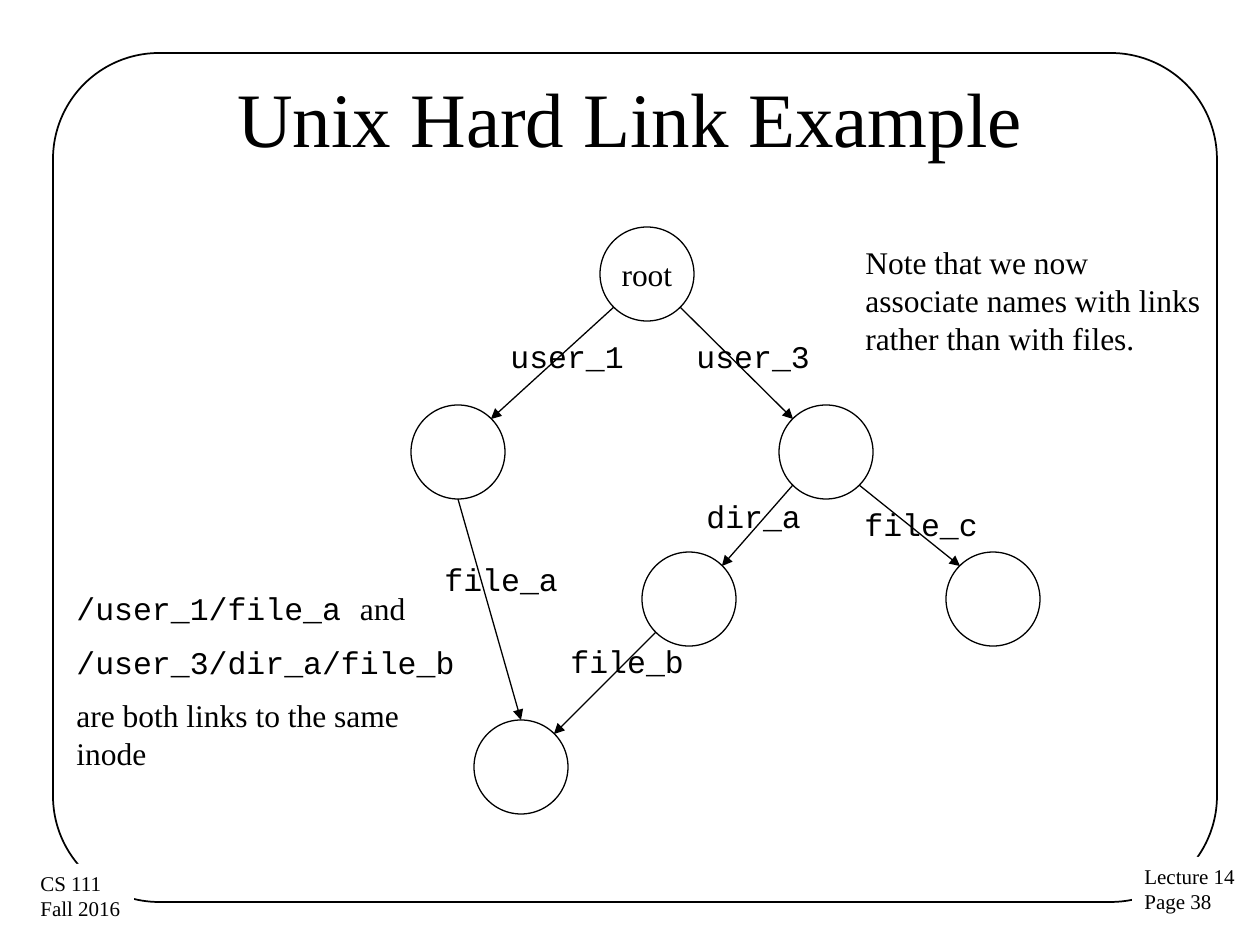
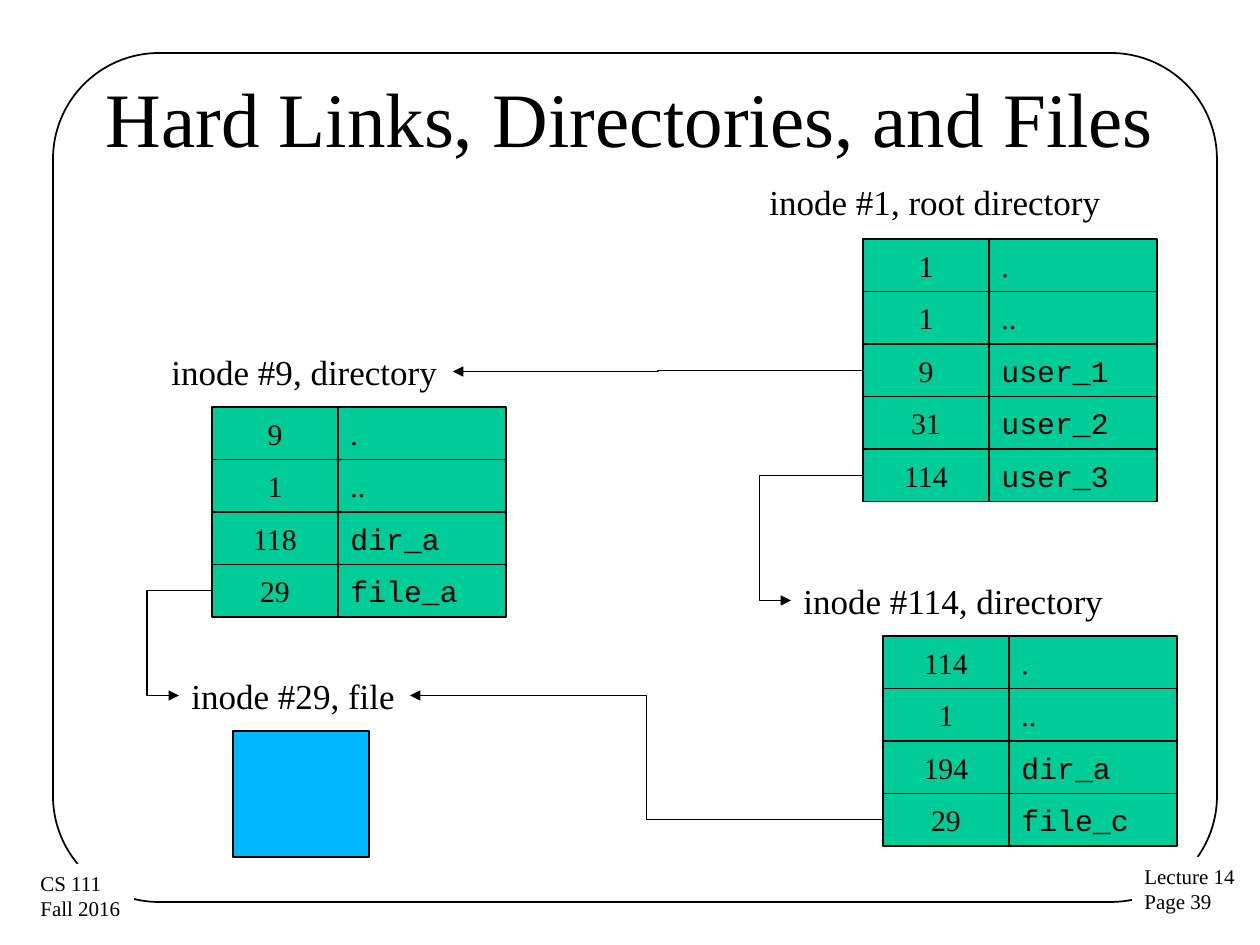
import pptx
import pptx.util
import pptx.dml.color
import pptx.enum.shapes
import pptx.enum.text
import pptx.oxml.ns
import lxml.etree

SERIF, MONO = "Times New Roman", "Courier New"
BLACK, WHITE, GREEN, BLUE = "000000", "FFFFFF", "00CC99", "00B8FF"
SHAPE = pptx.enum.shapes.MSO_SHAPE
LINK = pptx.enum.shapes.MSO_CONNECTOR
ALIGN = pptx.enum.text.PP_ALIGN
MIDDLE = pptx.enum.text.MSO_ANCHOR.MIDDLE
GROW = pptx.enum.text.MSO_AUTO_SIZE.SHAPE_TO_FIT_TEXT
DPI = 126
NODE = 94                       # diameter of a tree node
ROW, COLS = 52.5, (126, 168)    # cell height and the two column widths
# Connection sites: index, then share of the width and of the height
TOP, TOP_L, LOW_L = (0, 0.5, 0), (1, 0.15, 0.15), (3, 0.15, 0.85)
LOW, LOW_R, TOP_R = (4, 0.5, 1), (5, 0.85, 0.85), (7, 0.85, 0.15)
LEFT, RIGHT = (1, 0, 0.5), (3, 1, 0.5)


def px(num):
    """Turn pixels into EMU."""
    return pptx.util.Emu(round(num * 914400 / DPI))


def color(code):
    """Turn a hex string into a colour."""
    return pptx.dml.color.RGBColor.from_string(code)


def apply(item, form):
    """Set every attribute named in a dict of format values."""
    for key, val in form.items():
        setattr(item, key, val)


def add(host, tag, **vals):
    """Append a drawing element with its attributes."""
    node = lxml.etree.SubElement(host, pptx.oxml.ns.qn(tag))
    for key, val in vals.items():
        node.set(key, str(val))
    return node


def write(shape, paras, size, font=SERIF, align=ALIGN.LEFT, gap=0, **frame):
    """Fill a text frame; a paragraph is a string or a list of (text, font)."""
    text = shape.text_frame
    apply(text, frame)
    for num, runs in enumerate(paras):
        para = text.add_paragraph() if num else text.paragraphs[0]
        apply(para, {"alignment": align,
                     "space_before": pptx.util.Pt(gap if num else 0)})
        for words, face in [(runs, font)] if isinstance(runs, str) else runs:
            run = para.add_run()
            run.text = words
            apply(run.font, {"name": face, "size": pptx.util.Pt(size)})
            run.font.color.rgb = color(BLACK)


def draw(slide, kind, box, fill=None, width=0.75):
    """Add a preset shape; a width of 0 means no outline."""
    shape = slide.shapes.add_shape(kind, *map(px, box))
    shape.shadow.inherit = False
    if fill:
        shape.fill.solid()
        shape.fill.fore_color.rgb = color(fill)
    else:
        shape.fill.background()
    if width:
        shape.line.color.rgb = color(BLACK)
        shape.line.width = pptx.util.Pt(width)
    else:
        shape.line.fill.background()
    return shape


def label(slide, box, paras, size=18, wrap=True, **form):
    """Add a text box."""
    shape = slide.shapes.add_textbox(*map(px, box))
    write(shape, paras, size, word_wrap=wrap, auto_size=GROW, **form)
    return shape


def point(shape, site):
    """Find where a connection site lies."""
    return (round(shape.left + site[1] * shape.width),
            round(shape.top + site[2] * shape.height))


def arrow(slide, start, end, kind=LINK.STRAIGHT, bend=None):
    """Join two (shape, site) pairs by a line with an arrowhead."""
    line = slide.shapes.add_connector(kind, *point(*start), *point(*end))
    line.line.color.rgb = color(BLACK)
    line.line.width = pptx.util.Pt(0.75)
    glue = line._element.nvCxnSpPr.cNvCxnSpPr
    for tag, (shape, site) in (("a:stCxn", start), ("a:endCxn", end)):
        add(glue, tag, id=shape.shape_id, idx=site[0])
    qn = pptx.oxml.ns.qn
    prop = line._element.spPr
    add(prop.find(qn("a:ln")), "a:tailEnd", type="triangle")
    add(prop, "a:effectLst")
    if bend:
        geom = prop.find(qn("a:prstGeom"))
        vals = geom.find(qn("a:avLst"))
        if vals is None:
            vals = add(geom, "a:avLst")
        add(vals, "a:gd", name="adj1", fmla=f"val {round(bend * 100000)}")


def page(deck, title, num):
    """Add a slide with its title, frame and footers."""
    slide = deck.slides.add_slide(deck.slide_layouts[5])
    head = slide.shapes.title
    apply(head, dict(zip(("left", "top", "width", "height"),
                         map(px, (63, 38, 1134, 157)))))
    write(head, [title], 44, align=ALIGN.CENTER, vertical_anchor=MIDDLE)
    frame = draw(slide, SHAPE.ROUNDED_RECTANGLE, (53, 53, 1164, 849), width=1)
    frame.adjustments[0] = 0.125
    for box, lines in (((1132, 857, 117, 64), ["Lecture 14", f"Page {num}"]),
                       ((28, 864, 106, 64), ["CS 111", "Fall 2016 "])):
        foot = draw(slide, SHAPE.RECTANGLE, box, WHITE, 0)
        write(foot, lines, 12, word_wrap=False, auto_size=GROW,
              vertical_anchor=pptx.enum.text.MSO_ANCHOR.TOP)
    return slide


def grid(slide, left, top, rows):
    """Draw a directory's entries; return the number cells."""
    cells = []
    for num, (inode, name) in enumerate(rows):
        high = top + num * ROW
        cell = draw(slide, SHAPE.RECTANGLE, (left, high, COLS[0], ROW), GREEN)
        entry = draw(slide, SHAPE.RECTANGLE,
                     (left + COLS[0], high, COLS[1], ROW), GREEN)
        form = {"size": 17, "word_wrap": False, "vertical_anchor": MIDDLE}
        write(cell, [str(inode)], align=ALIGN.CENTER, **form)
        write(entry, [name], font=MONO if name.strip(".") else SERIF, **form)
        cells.append(cell)
    return cells


def tree(deck):
    """Build the slide with the tree of links."""
    slide = page(deck, "Unix Hard Link Example", 38)
    spots = {"root": (600, 227), "one": (411, 405), "three": (779, 405),
             "c": (946, 552), "dir": (642, 552), "shared": (474, 720)}
    nodes = {key: draw(slide, SHAPE.OVAL, (*spot, NODE, NODE),
                       WHITE if key == "shared" else None)
             for key, spot in spots.items()}
    write(nodes["root"], ["root"], 18, align=ALIGN.CENTER, word_wrap=False,
          vertical_anchor=MIDDLE)
    links = [("root", LOW_L, "one", TOP_R, "user_1", (498, 331, 147)),
             ("root", LOW_R, "three", TOP_L, "user_3", (684, 331, 147)),
             ("three", LOW_L, "dir", TOP_R, "dir_a", (694, 491, 147)),
             ("three", LOW_R, "c", TOP_L, "file_c", (852, 499, 147)),
             ("one", LOW, "shared", TOP, "file_a", (432, 554, 210)),
             ("dir", LOW_L, "shared", TOP_R, "file_b", (558, 636, 234))]
    for start, out, end, into, name, box in links:
        arrow(slide, (nodes[start], out), (nodes[end], into))
        label(slide, (*box, 50), [name], font=MONO)
    label(slide, (853, 237, 368, 127),
          ["Note that we now associate names with links "
           "rather than with files."])
    label(slide, (64, 583, 411, 204),
          [[("/user_1/file_a ", MONO), ("and", SERIF)],
           [("/user_3/dir_a/file_b", MONO)],
           "are both links to the same inode"], gap=9)


def inodes(deck):
    """Build the slide with the directory contents."""
    slide = page(deck, "Hard Links, Directories, and Files", 39)
    root = grid(slide, 863, 239, [(1, "."), (1, ".."), (9, "user_1"),
                                  (31, "user_2"), (114, "user_3")])
    nine = grid(slide, 212, 407, [(9, "."), (1, ".."), (118, "dir_a"),
                                  (29, "file_a")])
    last = grid(slide, 883, 636, [(114, "."), (1, ".."), (194, "dir_a"),
                                  (29, "file_c")])
    draw(slide, SHAPE.RECTANGLE, (233, 731, 136, 126), BLUE)
    heads = [label(slide, (*box, 55), [f"inode #{words}"], 20, False)
             for box, words in (((757, 174, 359), "1, root directory"),
                                ((159, 344, 294), "9, directory"),
                                ((791, 573, 328), "114, directory"),
                                ((179, 668, 231), "29, file"))]
    for cell, head, side, bend in ((root[2], heads[1], RIGHT, 0.5),
                                   (root[4], heads[2], LEFT, 1.44),
                                   (nine[3], heads[3], LEFT, 1.97),
                                   (last[3], heads[3], RIGHT, 0.5)):
        arrow(slide, (cell, LEFT), (head, side), LINK.ELBOW, bend)


def main():
    """Build the deck and save it."""
    deck = pptx.Presentation()
    apply(deck, {"slide_width": px(1260), "slide_height": px(945)})
    tree(deck)
    inodes(deck)
    deck.save("out.pptx")


main()
